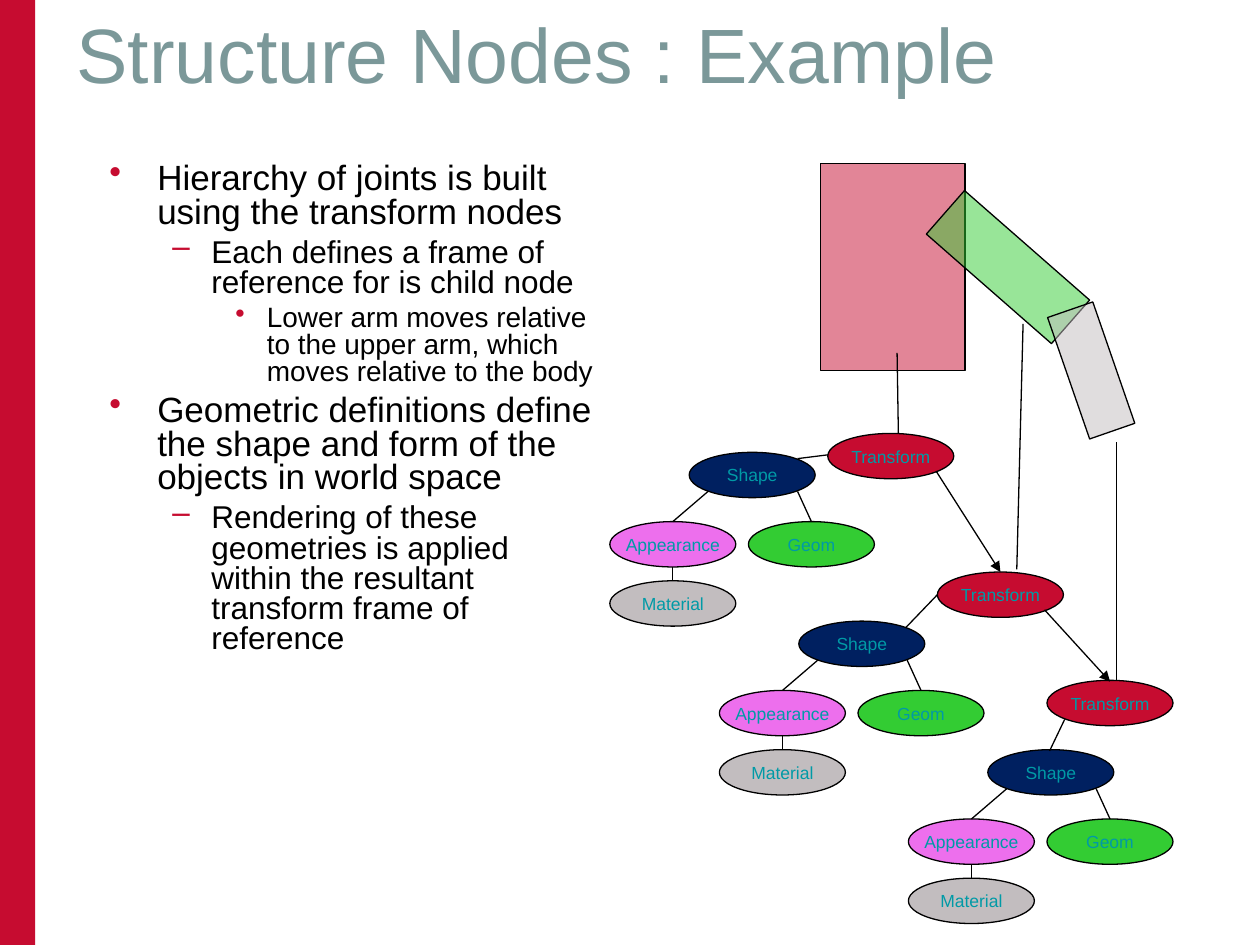
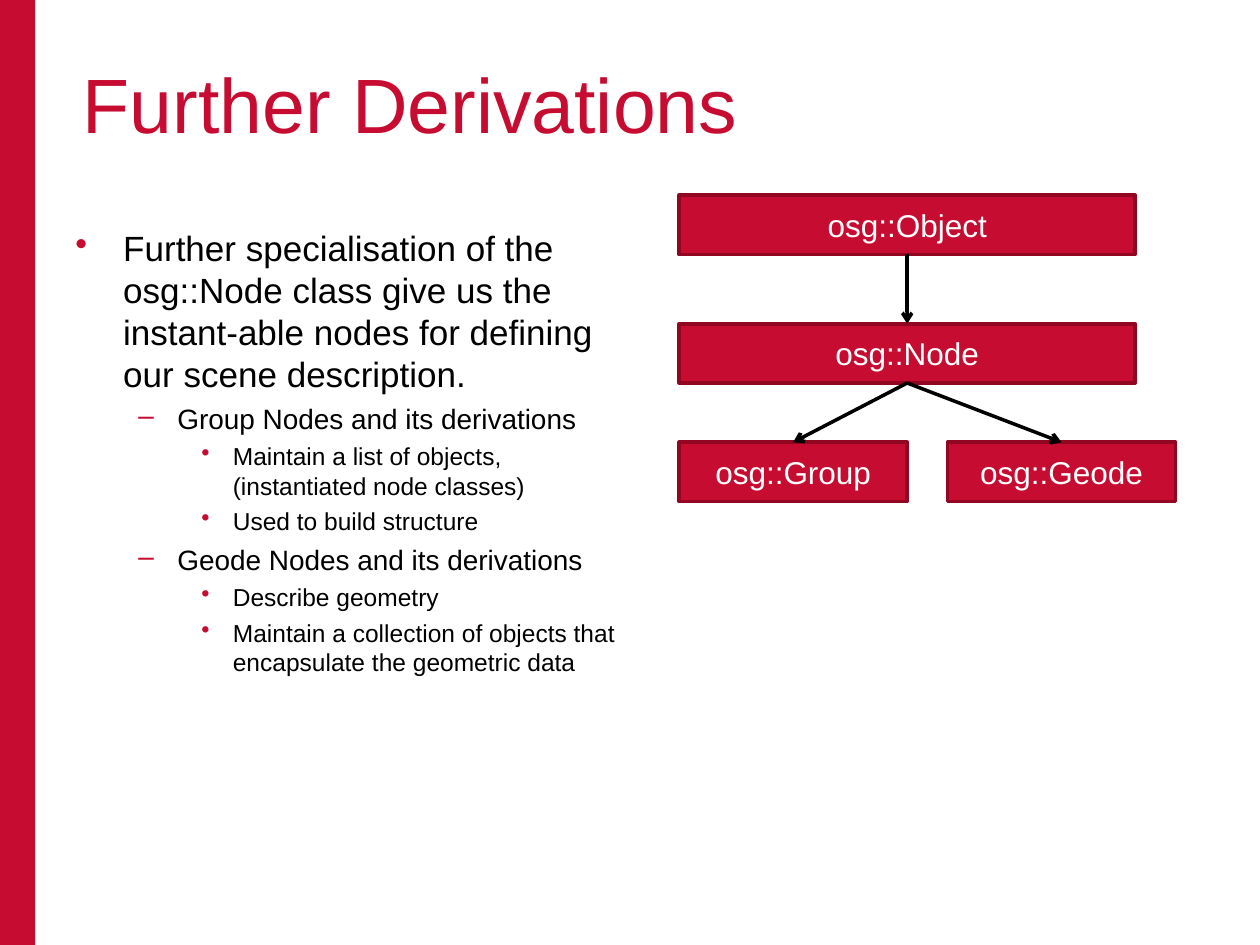
"""Build two scene graph slides: a jointed arm example and the node class tree."""
import lxml.etree
import pptx
import pptx.dml.color
import pptx.enum.shapes
import pptx.enum.text
import pptx.oxml.ns
import pptx.util

Inches = pptx.util.Inches
Pt = pptx.util.Pt
SHAPE = pptx.enum.shapes.MSO_SHAPE
STRAIGHT = pptx.enum.shapes.MSO_CONNECTOR.STRAIGHT
qn = pptx.oxml.ns.qn

FONT = "Arial"
COLORS = {
    "red": "C60C30",
    "dark_red": "910620",
    "sage": "7B9899",
    "teal": "009AA6",
    "navy": "002060",
    "pink": "ED6FED",
    "green": "33CC33",
    "grey": "C2BDBF",
    "black": "000000",
    "white": "FFFFFF",
}
NODE_FILLS = {
    "Transform": "red",
    "Shape": "navy",
    "Appearance": "pink",
    "Material": "grey",
    "Geom": "green",
}
NODE_SIZE = (1, 0.36)
BULLETS = (("•", 0.38, 0.38), ("–", 0.81, 0.31), ("•", 1.25, 0.25))


def rgb(color):
    """Return the RGB value of a named colour."""
    return pptx.dml.color.RGBColor.from_string(COLORS[color])


def style_font(paragraph, size, color):
    """Set the font of a whole paragraph."""
    paragraph.font.name = FONT
    paragraph.font.size = Pt(size)
    paragraph.font.color.rgb = rgb(color)


def add_figure(slide, kind, box, fill, line=None, weight=0.75, opacity=None):
    """Add a flat preset shape, optionally outlined or translucent."""
    figure = slide.shapes.add_shape(kind, *map(Inches, box))
    figure.shadow.inherit = False
    figure.fill.solid()
    figure.fill.fore_color.rgb = rgb(fill)
    if opacity is not None:
        fill_color = figure._element.spPr.find(qn("a:solidFill"))[0]
        alpha = lxml.etree.SubElement(fill_color, qn("a:alpha"))
        alpha.set("val", str(opacity * 1000))
    if line:
        figure.line.color.rgb = rgb(line)
        figure.line.width = Pt(weight)
    else:
        figure.line.fill.background()
    return figure


def add_label(figure, text, size, color, wrap=True):
    """Write one centred line of text in a shape."""
    frame = figure.text_frame
    frame.word_wrap = wrap
    frame.vertical_anchor = pptx.enum.text.MSO_ANCHOR.MIDDLE
    paragraph = frame.paragraphs[0]
    paragraph.text = text
    paragraph.alignment = pptx.enum.text.PP_ALIGN.CENTER
    style_font(paragraph, size, color)


def add_link(slide, start, end, weight=0.75, arrow=None):
    """Add a straight black line with an optional arrowhead at its end."""
    link = slide.shapes.add_connector(STRAIGHT, *map(Inches, start + end))
    link.line.color.rgb = rgb("black")
    link.line.width = Pt(weight)
    if arrow:
        head = lxml.etree.SubElement(link.line._get_or_add_ln(), qn("a:tailEnd"))
        head.set("type", arrow)
    lxml.etree.SubElement(link._element.spPr, qn("a:effectLst"))
    return link


def add_text_frame(slide, box):
    """Add a wrapping text box and return its frame."""
    frame = slide.shapes.add_textbox(*map(Inches, box)).text_frame
    frame.word_wrap = True
    return frame


def add_base_slide(deck, title, title_box, title_color):
    """Add a blank slide with the side band and a title."""
    slide = deck.slides.add_slide(deck.slide_layouts[6])
    add_figure(slide, SHAPE.RECTANGLE, (0, 0, 0.28, 7.5), "red")
    heading = add_text_frame(slide, title_box).paragraphs[0]
    heading.text = title
    style_font(heading, 44, title_color)
    return slide


def set_bullet(paragraph, level):
    """Give a paragraph the bullet and indent of its level."""
    mark, margin, hanging = BULLETS[level]
    properties = paragraph._p.get_or_add_pPr()
    properties.set("marL", str(Inches(margin)))
    properties.set("indent", str(-Inches(hanging)))
    bullet_color = lxml.etree.SubElement(properties, qn("a:buClr"))
    lxml.etree.SubElement(bullet_color, qn("a:srgbClr")).set("val", COLORS["red"])
    lxml.etree.SubElement(properties, qn("a:buChar")).set("char", mark)


def add_outline(slide, box, points, sizes, line_spacing=None):
    """Add a bulleted outline from (level, text) pairs."""
    frame = add_text_frame(slide, box)
    for index, (level, text) in enumerate(points):
        paragraph = frame.add_paragraph() if index else frame.paragraphs[0]
        paragraph.text = text
        paragraph.level = level
        set_bullet(paragraph, level)
        if line_spacing:
            paragraph.line_spacing = line_spacing
        if index:
            paragraph.space_before = Pt(sizes[level] / 4)
        style_font(paragraph, sizes[level], "black")


def add_node(slide, name, left, top):
    """Add one scene graph node as a labelled ellipse."""
    node = add_figure(slide, SHAPE.OVAL, (left, top, *NODE_SIZE), NODE_FILLS[name], "black")
    add_label(node, name, 10, "teal", wrap=False)


def add_shape_branch(slide, left, top):
    """Add a Shape node with its appearance, material and geometry."""
    nodes = (("Shape", 0, 0), ("Appearance", -0.63, 0.55),
             ("Material", -0.63, 1.02), ("Geom", 0.47, 0.55))
    for name, across, down in nodes:
        add_node(slide, name, left + across, top + down)
    links = ((0.86, 0.31, 0.97, 0.55), (0.15, 0.31, -0.13, 0.55),
             (-0.13, 0.91, -0.13, 1.02))
    for x1, y1, x2, y2 in links:
        add_link(slide, (left + x1, top + y1), (left + x2, top + y2))


def add_class_box(slide, name, left, top, width):
    """Add a class of the inheritance tree."""
    class_box = add_figure(slide, SHAPE.RECTANGLE, (left, top, width, 0.47),
                           "red", "dark_red", weight=2)
    add_label(class_box, name, 18, "white")
    return class_box


def add_derivation(slide, parent, child):
    """Join the bottom of a class to the top of a derived class."""
    link = add_link(slide, (0, 0), (1, 1), weight=2, arrow="arrow")
    link.begin_connect(parent, 2)
    link.end_connect(child, 0)


def build_example(deck):
    """Build the slide of the jointed arm and its scene graph."""
    slide = add_base_slide(deck, "Structure Nodes : Example", (0.51, 0, 9, 1.25), "sage")
    add_outline(slide, (0.77, 1.25, 4.07, 5.25), (
        (0, "Hierarchy of joints is built using the transform nodes"),
        (1, "Each defines a frame of reference for is child node"),
        (2, "Lower arm moves relative to the upper arm, which moves relative to the body"),
        (0, "Geometric definitions define the shape and form of the objects in world space"),
        (1, "Rendering of these geometries is applied within the resultant "
            "transform frame of reference"),
    ), (20, 18, 16), line_spacing=0.8)

    limbs = (((6.51, 1.3, 1.15, 1.64), 0, "red"),
             ((7.34, 1.89, 1.32, 0.46), 41.2, "green"),
             ((8.15, 2.75, 1.02, 0.38), 70.9, "grey"))
    for box, angle, fill in limbs:
        limb = add_figure(slide, SHAPE.RECTANGLE, box, fill, "black", opacity=50)
        limb.rotation = angle

    for left, top in ((6.57, 3.44), (7.44, 4.54), (8.31, 5.4)):
        add_node(slide, "Transform", left, top)
    for start, end in (((7.43, 3.74), (7.94, 4.54)), ((8.29, 4.84), (8.81, 5.41))):
        add_link(slide, start, end, arrow="triangle")
    limb_links = (((7.12, 2.8), (7.13, 3.44)), ((8.12, 2.57), (8.07, 4.52)),
                  ((8.86, 3.51), (8.86, 5.4)))
    for start, end in limb_links:
        add_link(slide, start, end)

    for left, top in ((5.47, 3.59), (6.34, 4.93), (7.84, 5.95)):
        add_shape_branch(slide, left, top)
    branch_links = (((6.57, 3.61), (6.33, 3.64)), ((7.44, 4.72), (7.19, 4.98)),
                    ((8.45, 5.71), (8.33, 5.96)))
    for start, end in branch_links:
        add_link(slide, start, end)


def build_derivations(deck):
    """Build the slide of the node class tree."""
    slide = add_base_slide(deck, "Further Derivations", (0.56, 0.4, 8.94, 1.61), "red")
    add_outline(slide, (0.5, 1.75, 4.5, 5.15), (
        (0, "Further specialisation of the osg::Node class give us the "
            "instant-able nodes for defining our scene description."),
        (1, "Group Nodes and its derivations"),
        (2, "Maintain a list of objects, (instantiated node classes)"),
        (2, "Used to build structure"),
        (1, "Geode Nodes and its derivations"),
        (2, "Describe geometry"),
        (2, "Maintain a collection of objects that encapsulate the geometric data"),
    ), (20, 16, 14))

    base_object = add_class_box(slide, "osg::Object", 5.39, 1.55, 3.62)
    node = add_class_box(slide, "osg::Node", 5.39, 2.57, 3.62)
    group = add_class_box(slide, "osg::Group", 5.39, 3.51, 1.81)
    geode = add_class_box(slide, "osg::Geode", 7.52, 3.51, 1.81)
    for parent, child in ((base_object, node), (node, group), (node, geode)):
        add_derivation(slide, parent, child)


def main():
    """Build and save the deck."""
    deck = pptx.Presentation()
    deck.slide_width = Inches(10)
    deck.slide_height = Inches(7.5)
    build_example(deck)
    build_derivations(deck)
    deck.save("out.pptx")


if __name__ == "__main__":
    main()
